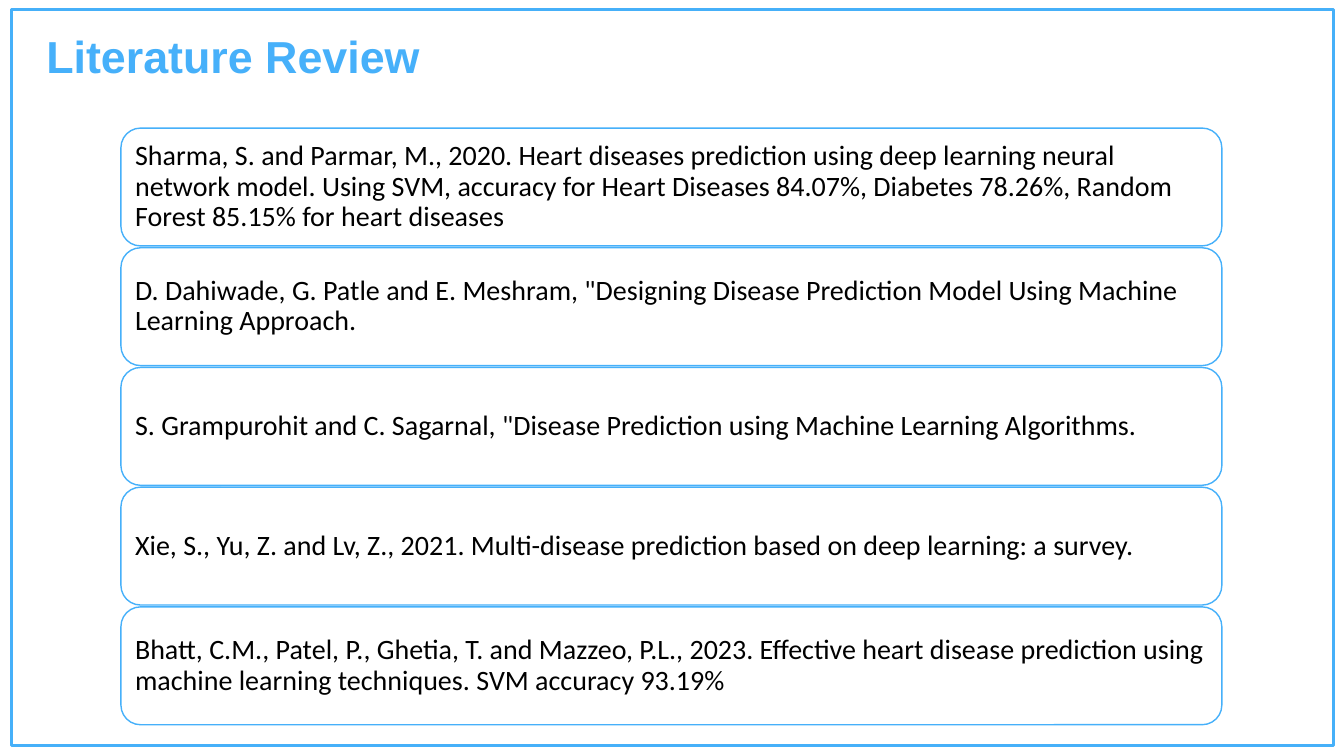
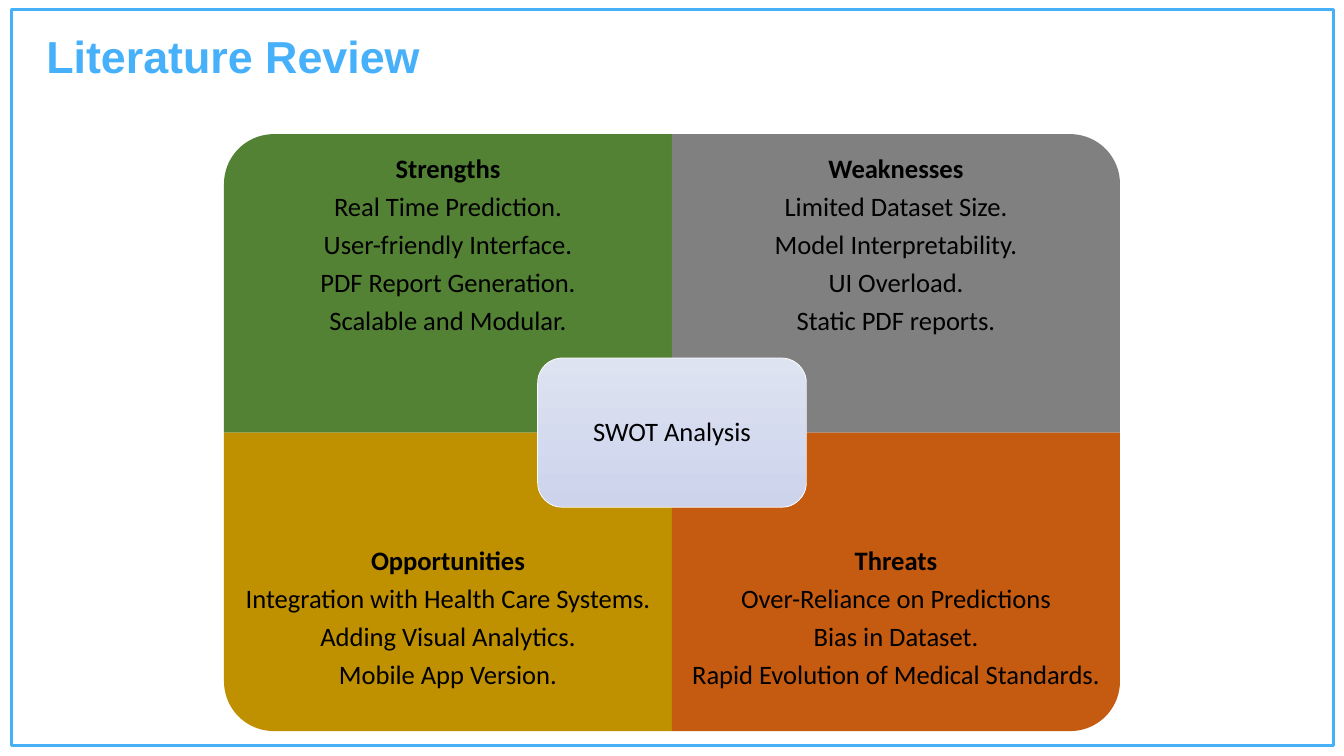
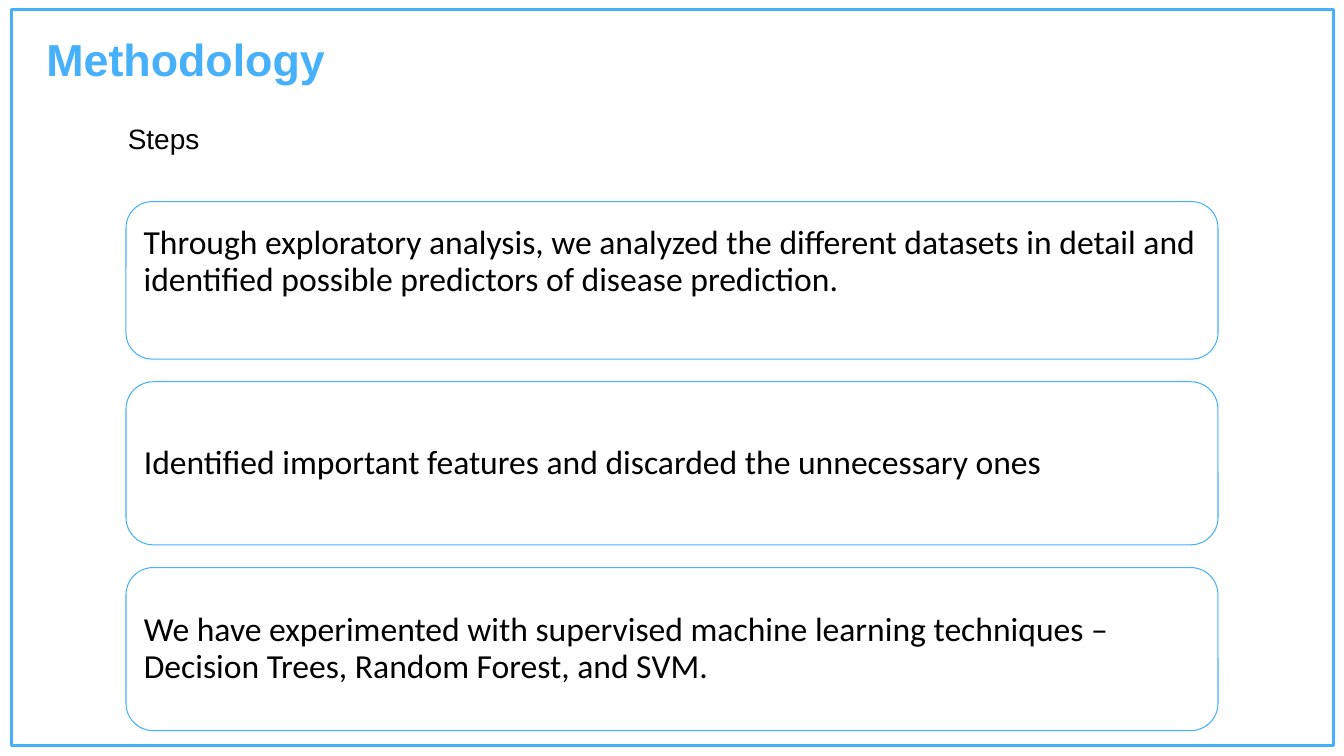
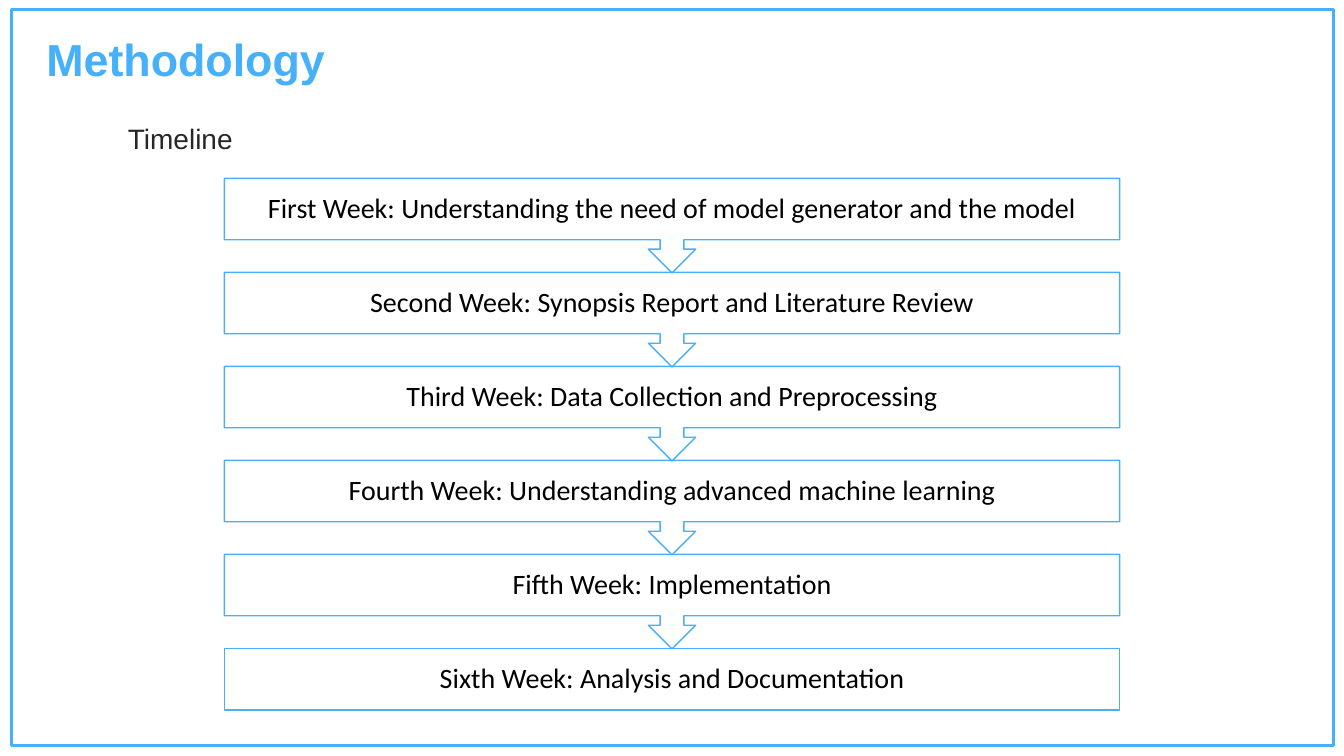
from pptx import Presentation
from pptx.dml.color import RGBColor
from pptx.enum.shapes import MSO_SHAPE
from pptx.enum.text import MSO_ANCHOR, PP_ALIGN
from pptx.util import Pt

RECTANGLE = MSO_SHAPE.RECTANGLE
ROUNDED = MSO_SHAPE.ROUNDED_RECTANGLE
ONE_ROUND_CORNER = MSO_SHAPE.ROUND_1_RECTANGLE
ARROW_CALLOUT = MSO_SHAPE.DOWN_ARROW_CALLOUT
TOP, MIDDLE = MSO_ANCHOR.TOP, MSO_ANCHOR.MIDDLE
LEFT, CENTER = PP_ALIGN.LEFT, PP_ALIGN.CENTER

FRAME_BLUE = RGBColor(0x46, 0xB0, 0xF9)
BLUE = RGBColor(0x46, 0xB0, 0xFA)
STEP_BLUE = RGBColor(0x4A, 0xAE, 0xFC)
BLACK = RGBColor(0x00, 0x00, 0x00)
CHARCOAL = RGBColor(0x26, 0x26, 0x26)
WHITE = RGBColor(0xFF, 0xFF, 0xFF)
GREEN = RGBColor(0x54, 0x82, 0x35)
GRAY = RGBColor(0x80, 0x80, 0x80)
GOLD = RGBColor(0xBF, 0x90, 0x00)
ORANGE = RGBColor(0xC5, 0x5A, 0x11)
PALE_TOP = RGBColor(0xDE, 0xE3, 0xF2)
PALE_BOTTOM = RGBColor(0xCC, 0xD3, 0xEB)

REFERENCES = [
    "Sharma, S. and Parmar, M., 2020. Heart diseases prediction using deep learning neural network model. "
    "Using SVM, accuracy for Heart Diseases 84.07%, Diabetes 78.26%, Random Forest 85.15% for heart diseases",
    'D. Dahiwade, G. Patle and E. Meshram, "Designing Disease Prediction Model Using Machine Learning Approach.',
    'S. Grampurohit and C. Sagarnal, "Disease Prediction using Machine Learning Algorithms.',
    "Xie, S., Yu, Z. and Lv, Z., 2021. Multi-disease prediction based on deep learning: a survey.",
    "Bhatt, C.M., Patel, P., Ghetia, T. and Mazzeo, P.L., 2023. Effective heart disease prediction using "
    "machine learning techniques. SVM accuracy 93.19%",
]

QUADRANTS = [
    (0, 0, 270, GREEN, ["Strengths", "Real Time Prediction.", "User-friendly Interface.",
                        "PDF Report Generation.", "Scalable and Modular."]),
    (1, 0, 0, GRAY, ["Weaknesses", "Limited Dataset Size.", "Model Interpretability.",
                     "UI Overload.", "Static PDF reports."]),
    (0, 1, 180, GOLD, ["Opportunities", "Integration with Health Care Systems.",
                       "Adding Visual Analytics.", "Mobile App Version."]),
    (1, 1, 90, ORANGE, ["Threats", "Over-Reliance on Predictions", "Bias in Dataset.",
                        "Rapid Evolution of Medical Standards."]),
]

STEPS = [
    (112.5, 33.2, "Through exploratory analysis, we analyzed the different datasets in detail and "
                  "identified possible predictors of disease prediction."),
    (116.5, 7.2, "Identified important features and discarded the unnecessary ones"),
    (116.5, 7.2, "We have experimented with supervised machine learning techniques – Decision Trees, "
                 "Random Forest, and SVM."),
]

WEEKS = [
    "First Week: Understanding the need of model generator and the model",
    "Second Week: Synopsis Report and Literature Review",
    "Third Week: Data Collection and Preprocessing",
    "Fourth Week: Understanding advanced machine learning",
    "Fifth Week: Implementation",
    "Sixth Week: Analysis and Documentation",
]


class Deck:
    """Holds the shared style and the slide being drawn."""

    def __init__(self):
        self.presentation = Presentation()
        self.presentation.slide_width = Pt(960)
        self.presentation.slide_height = Pt(540)
        self.slide = None

    def add_slide(self, title, title_top):
        self.slide = self.presentation.slides.add_slide(self.presentation.slide_layouts[6])
        self.shape(RECTANGLE, 8, 6.5, 944.6, 526.3, None, FRAME_BLUE, 2.25)
        self.label(title, 26, title_top, 593, 46, 32, BLUE, bold=True)

    def shape(self, kind, left, top, width, height, fill=WHITE, line=None, line_width=1):
        shape = self.slide.shapes.add_shape(kind, Pt(left), Pt(top), Pt(width), Pt(height))
        shape.shadow.inherit = False
        if fill is None:
            shape.fill.background()
        else:
            shape.fill.solid()
            shape.fill.fore_color.rgb = fill
        if line is None:
            shape.line.fill.background()
        else:
            shape.line.color.rgb = line
            shape.line.width = Pt(line_width)
        return shape

    def text_box(self, left, top, width, height):
        return self.slide.shapes.add_textbox(Pt(left), Pt(top), Pt(width), Pt(height))

    def label(self, text, left, top, width, height, size, color, bold=False):
        box = self.text_box(left, top, width, height)
        box.text_frame.word_wrap = True
        box.text_frame.vertical_anchor = TOP
        self.run(box.text_frame.paragraphs[0], text, size, "Arial", color, bold)

    def body(self, shape, lines, size, inset, align=LEFT, bottom_inset=None, heading=False):
        frame = shape.text_frame
        frame.word_wrap = True
        frame.vertical_anchor = MIDDLE
        frame.margin_left = frame.margin_right = frame.margin_top = Pt(inset)
        frame.margin_bottom = Pt(bottom_inset or inset)
        for index, line in enumerate(lines):
            paragraph = frame.add_paragraph() if index else frame.paragraphs[0]
            paragraph.alignment = align
            paragraph.line_spacing = 0.9
            paragraph.space_after = Pt(size * 0.35)
            self.run(paragraph, line, size, "Calibri", BLACK, heading and index == 0)

    def run(self, paragraph, text, size, font_name, color, bold):
        run = paragraph.add_run()
        run.text = text
        run.font.size = Pt(size)
        run.font.name = font_name
        run.font.color.rgb = color
        run.font.bold = bold

    def quadrant(self, left, top, width, height, rotation, fill):
        if rotation % 180:
            offset = (width - height) / 2
            left, top, width, height = left + offset, top - offset, height, width
        shape = self.shape(ONE_ROUND_CORNER, left, top, width, height, fill)
        shape.rotation = rotation

    def gradient(self, shape, first, last):
        shape.fill.gradient()
        shape.fill.gradient_angle = 270
        for stop, position, color in zip(shape.fill.gradient_stops, (0, 1), (first, last)):
            stop.position = position
            stop.color.rgb = color


def add_references(deck):
    deck.add_slide("Literature Review", 17.3)
    for index, reference in enumerate(REFERENCES):
        card = deck.shape(ROUNDED, 86.4, 91.5 + index * 85.5, 786.4, 84.2, WHITE, BLUE)
        deck.body(card, [reference], 20, 6)


def add_swot(deck):
    deck.add_slide("Literature Review", 17.3)
    left, top, width, height, text_height = 160, 95.8, 320, 213.2, 160
    for column, row, rotation, fill, lines in QUADRANTS:
        x, y = left + column * width, top + row * height
        deck.quadrant(x, y, width, height, rotation, fill)
        box = deck.text_box(x, y + row * (height - text_height), width, text_height)
        deck.body(box, lines, 19, 10.8, CENTER, heading=True)
    center = deck.shape(ROUNDED, 384, top + height * 0.75, 192, height / 2, WHITE, WHITE, 0.5)
    deck.gradient(center, PALE_TOP, PALE_BOTTOM)
    deck.body(center, ["SWOT Analysis"], 19, 5.7, CENTER)


def add_steps(deck):
    deck.add_slide("Methodology", 19.4)
    deck.label("Steps", 84.2, 83.5, 780, 31.5, 20, BLACK)
    top = 144
    for height, bottom_inset, text in STEPS:
        card = deck.shape(ROUNDED, 90, top, 780, height, WHITE, BLUE, 0.75)
        deck.body(card, [text], 24, 7.2, bottom_inset=bottom_inset)
        top += height + 16.2


def add_timeline(deck):
    deck.add_slide("Methodology", 19.4)
    deck.label("Timeline", 84.2, 83.5, 780, 31.5, 20, CHARCOAL)
    last = len(WEEKS) - 1
    for index in range(last, -1, -1):
        kind, height = (RECTANGLE, 43.9) if index == last else (ARROW_CALLOUT, 67.5)
        step = deck.shape(kind, 160.3, 127.4 + index * 67.15, 639.5, height, WHITE, STEP_BLUE)
        deck.body(step, [WEEKS[index]], 20, 11.2, CENTER)


def main():
    deck = Deck()
    add_references(deck)
    add_swot(deck)
    add_steps(deck)
    add_timeline(deck)
    deck.presentation.save("out.pptx")


if __name__ == "__main__":
    main()
